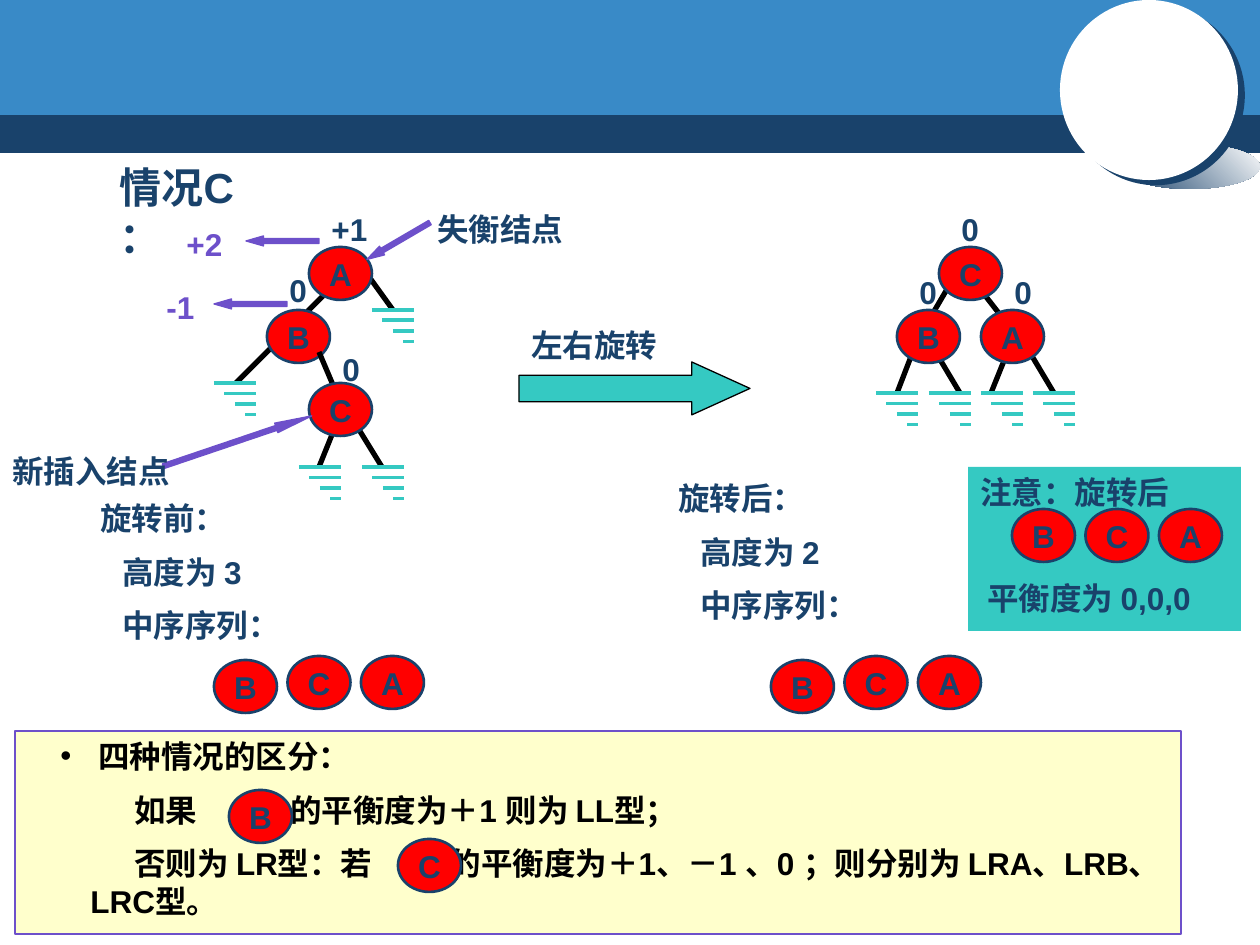
from lxml.etree import SubElement
from pptx import Presentation
from pptx.dml.color import RGBColor
from pptx.enum.shapes import MSO_CONNECTOR as CONN, MSO_SHAPE as SHAPE
from pptx.enum.text import MSO_ANCHOR as ANCHOR, PP_ALIGN as ALIGN
from pptx.oxml.ns import qn
from pptx.util import Pt

PX = 914400 / 126
COLORS = {"navy": "19426B", "blue": "398AC7", "white": "FFFFFF", "red": "FF0000",
          "teal": "35C9C2", "purple": "6D50CA", "black": "000000", "cream": "FFFFCC"}


def emu(px):
    return round(px * PX)


def rgb(name):
    return RGBColor.from_string(COLORS[name])


class SlideBuilder:
    font = "Arial"
    size = 18
    gap = 9

    def __init__(self, slide):
        self.s = slide

    def shape(self, kind, box, fill, line=None, width=0.75, rot=0, adj=()):
        sp = self.s.shapes.add_shape(kind, *map(emu, box))
        sp.shadow.inherit = False
        sp.fill.solid()
        sp.fill.fore_color.rgb = rgb(fill)
        if line:
            sp.line.color.rgb = rgb(line)
            sp.line.width = Pt(width)
        else:
            sp.line.fill.background()
        sp.rotation = rot
        for i, value in enumerate(adj):
            sp.adjustments[i] = value
        return sp

    def line(self, x1, y1, x2, y2, color="black", width=3):
        cx = self.s.shapes.add_connector(CONN.STRAIGHT, *map(emu, (x1, y1, x2, y2)))
        cx.line.color.rgb = rgb(color)
        cx.line.width = Pt(width)
        SubElement(cx._element.spPr, qn("a:effectLst"))

    def ground(self, x, y):
        """Four shrinking strokes that mark an empty subtree."""
        step = 10.5
        for i in range(4):
            self.line(x + i * step, y + i * step, x + 4 * step, y + i * step, "teal", 2.25)

    def run(self, p, text, color, size, spacing=0):
        r = p.add_run()
        r.text = text
        r.font.name = self.font
        r.font.size = Pt(size or self.size)
        r.font.bold = True
        r.font.color.rgb = rgb(color)
        if spacing:
            r._r.get_or_add_rPr().set("spc", str(spacing * 100))

    def paragraph(self, tf, runs, color="navy", size=None, first=True, gap=None,
                  left=0, indent=0, bullet=None, hole=0):
        """Several runs are parted by one space widened by hole points."""
        p = tf.paragraphs[0] if first else tf.add_paragraph()
        p.alignment = ALIGN.LEFT
        p.space_before = Pt(0 if first else gap or self.gap)
        pPr = p._p.get_or_add_pPr()
        pPr.set("marL", str(emu(left)))
        pPr.set("indent", str(emu(indent)))
        if bullet:
            SubElement(pPr, qn("a:buFont"), typeface=self.font)
            SubElement(pPr, qn("a:buChar"), char=bullet)
        else:
            SubElement(pPr, qn("a:buNone"))
        for i, text in enumerate(runs):
            if i:
                self.run(p, " ", color, size, hole)
            self.run(p, text, color, size)
        return p

    def fill_text(self, sp, paragraphs):
        tf = sp.text_frame
        tf.word_wrap = True
        tf.vertical_anchor = ANCHOR.TOP
        for i, options in enumerate(paragraphs):
            self.paragraph(tf, first=i == 0, **options)

    def text(self, box, *paragraphs):
        self.fill_text(self.s.shapes.add_textbox(*map(emu, box)), paragraphs)

    def label(self, x, y, text, width=53, color="navy"):
        self.text((x, y, width, 50), dict(runs=[text], color=color))

    def title(self, box, text):
        sp = self.s.shapes.title
        sp.left, sp.top, sp.width, sp.height = map(emu, box)
        self.fill_text(sp, [dict(runs=[text], size=24, left=63)])

    def node(self, x, y, name):
        sp = self.shape(SHAPE.OVAL, (x, y, 63, 53), "red", "navy", 1.5)
        tf = sp.text_frame
        tf.word_wrap = False
        tf.vertical_anchor = ANCHOR.MIDDLE
        self.paragraph(tf, [name]).alignment = ALIGN.CENTER

    def sequence(self, x, y, first_drop=0):
        """In-order row B, C, A."""
        for i, name in enumerate("BCA"):
            self.node(x + i * 73.5, y + (first_drop if i == 0 else 0), name)

    def arrow(self, x, y, width=73, rot=0, head=1.75):
        self.shape(SHAPE.LEFT_ARROW, (x, y, width, 10), "purple", "purple",
                   rot=rot, adj=(0.5, head))


def draw_banner(b):
    b.shape(SHAPE.RECTANGLE, (0, 110, 1260, 43), "navy")
    b.shape(SHAPE.RECTANGLE, (0, 0, 1260, 115), "blue")
    shade = b.shape(SHAPE.OVAL, (1120, 144, 140, 45), "navy")
    shade.fill.gradient()
    shade.fill.gradient_angle = 45
    for stop, name in zip(shade.fill.gradient_stops, ("navy", "white")):
        stop.color.rgb = rgb(name)
    disc = b.shape(SHAPE.OVAL, (1060, 0, 178, 180), "white")
    shadow = SubElement(disc._element.spPr.find(qn("a:effectLst")), qn("a:outerShdw"),
                        blurRad="0", dist=str(Pt(5)), dir=str(37 * 60000),
                        algn="ctr", rotWithShape="0")
    SubElement(shadow, qn("a:srgbClr"), val=COLORS["navy"])
    b.shape(SHAPE.OVAL, (1119, 63, 63, 62), "white")


def draw_tree(b, edges, grounds, nodes, labels):
    for edge in edges:
        b.line(*edge)
    for ground in grounds:
        b.ground(*ground)
    for node in nodes:
        b.node(*node)
    for label in labels:
        b.label(*label)


def draw_summary(b, x, y, heading, height):
    b.text((x, y, 400, 164), dict(runs=[heading]),
           dict(runs=[f"高度为 {height}"], left=22), dict(runs=["中序序列："], left=22))


def main():
    prs = Presentation()
    prs.slide_width, prs.slide_height = emu(1260), emu(945)
    b = SlideBuilder(prs.slides.add_slide(prs.slide_layouts[5]))

    draw_banner(b)
    b.title((44, 155, 250, 63), "情况C ：")

    # Tree before the rotation
    draw_tree(b,
              [(362, 267, 393, 310), (350, 415, 382, 467),
               (340, 415, 319, 467), (330, 289, 236, 383)],
              [(372, 310), (362, 467), (299, 467), (214, 383)],
              [(309, 247, "A"), (267, 310, "B")],
              [(319, 204, "+1", 72), (277, 265, "0")])
    b.line(319, 352, 350, 425)
    b.node(309, 383, "C")
    b.label(330, 344, "0")

    # Tree after the rotation
    draw_tree(b,
              [(960, 267, 929, 320), (929, 341, 960, 393), (917, 341, 897, 393),
               (1023, 341, 1054, 393), (1012, 341, 991, 393), (980, 289, 1012, 330)],
              [(929, 393), (876, 393), (1033, 393), (981, 393)],
              [(939, 247, "C"), (897, 310, "B"), (981, 310, "A")],
              [(949, 204, "0"), (907, 267, "0"), (1002, 267, "0")])

    # Balance changes and callouts
    b.label(174, 219, "+2", 72, "purple")
    b.label(154, 282, "-1", 71, "purple")
    b.arrow(214, 299)
    b.arrow(246, 236)
    b.arrow(362, 236, rot=329.7)
    b.arrow(159, 436, width=157, rot=161.3, head=3.75)
    b.label(425, 204, "失衡结点", 168)
    b.label(0, 446, "新插入结点", 193)
    b.shape(SHAPE.RIGHT_ARROW, (519, 362, 231, 53), "teal", "black", adj=(0.5, 1.1))
    b.label(519, 320, "左右旋转", 168)

    # Height and in-order sequence
    draw_summary(b, 88, 493, "旋转前：", 3)
    draw_summary(b, 666, 473, "旋转后：", 2)
    b.sequence(214, 656, first_drop=4)
    b.sequence(771, 656, first_drop=4)

    # Balance note
    note = b.shape(SHAPE.RECTANGLE, (968, 467, 273, 164), "teal")
    b.fill_text(note, [dict(runs=["注意：旋转后"]),
                       dict(runs=["平衡度为 0,0,0"], gap=39, left=7)])
    b.sequence(1012, 509)

    # Rules for telling the cases apart, with holes for the nodes
    rules = b.shape(SHAPE.RECTANGLE, (15, 731, 1166, 203), "cream", "purple")
    b.fill_text(rules, [
        dict(runs=["四种情况的区分："], color="black", left=71, indent=-38, bullet="•"),
        dict(runs=["如果", "的平衡度为＋1 则为 LL型；"], color="black",
             left=63, indent=44, hole=49),
        dict(runs=["否则为 LR型：若", "的平衡度为＋1、－1 、0 ；则分别为 LRA、LRB、LRC型。"],
             color="black", left=63, indent=44, hole=40)])
    b.node(229, 790, "B")
    b.node(398, 839, "C")

    prs.save("out.pptx")


if __name__ == "__main__":
    main()
